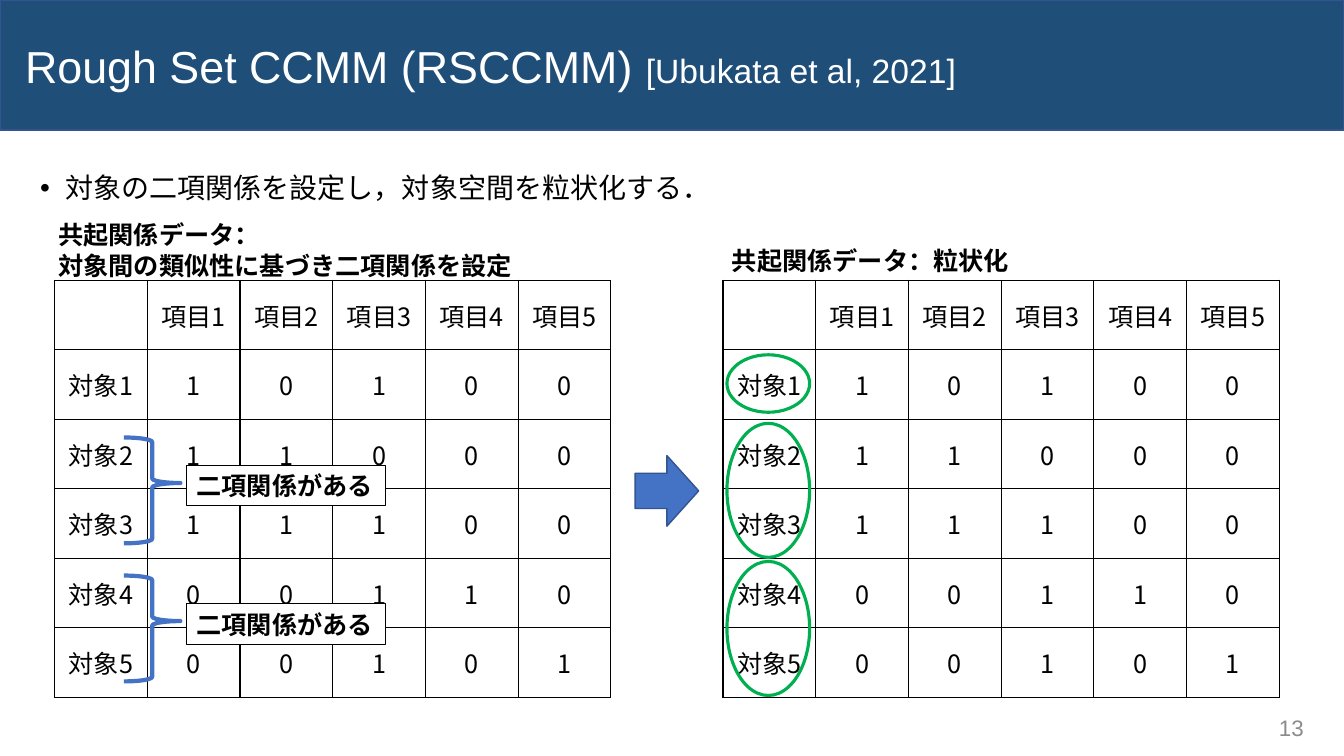
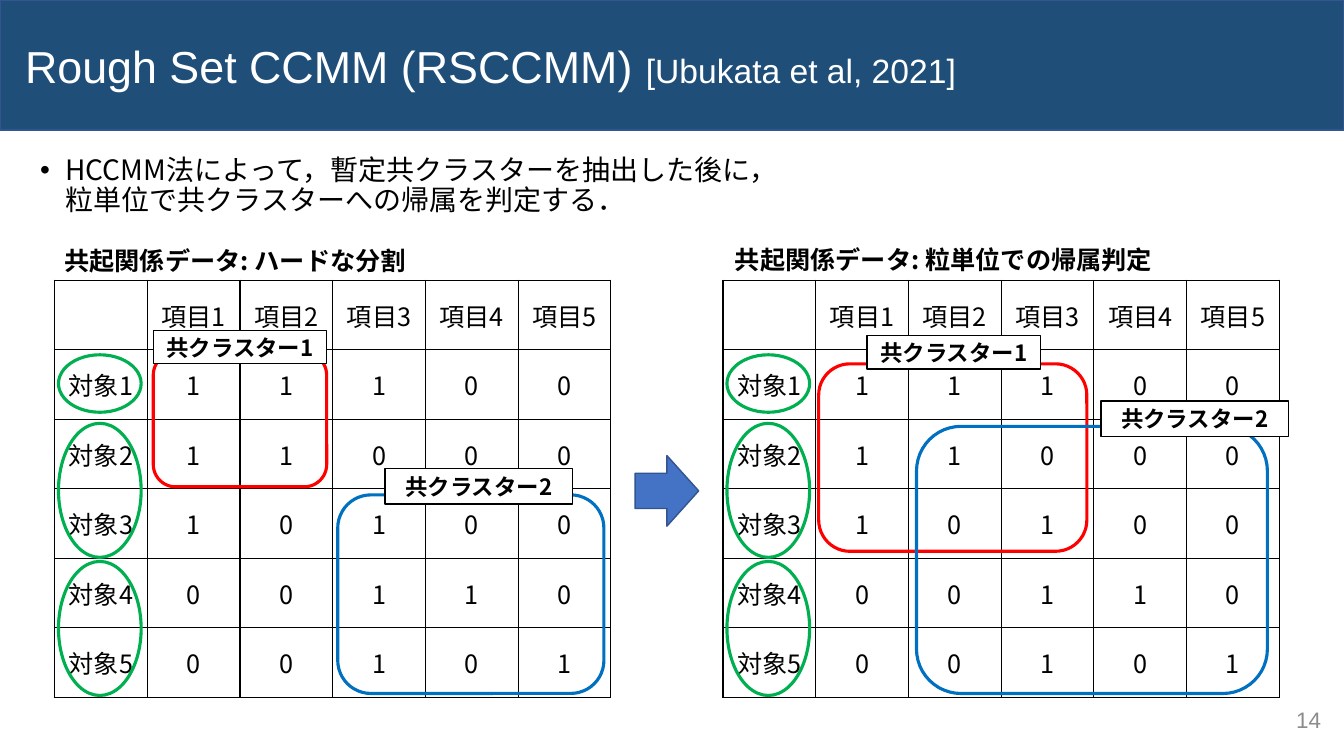
"""Build two slides on granulating co-occurrence data with Rough Set CCMM."""
import pptx
import pptx.dml.color
import pptx.enum.shapes
import pptx.enum.text
import pptx.oxml
import pptx.oxml.ns
import pptx.util

Inches = pptx.util.Inches
Pt = pptx.util.Pt
rgb = pptx.dml.color.RGBColor.from_string
Kind = pptx.enum.shapes.MSO_SHAPE
Align = pptx.enum.text.PP_ALIGN
Anchor = pptx.enum.text.MSO_ANCHOR
NS = pptx.oxml.ns.nsdecls("a")

NAVY, EDGE, BLUE = "1F4E79", "325491", "4472C4"
GREEN, RED, AZURE = "00B050", "FF0000", "0070C0"
BLACK, WHITE, GRAY = "000000", "FFFFFF", "8C8C8C"
LATIN, KANJI = "Arial", "Noto Sans CJK JP"

HEAD = {"size": Pt(18), "bold": True, "lead": Pt(22)}
LABEL = {"size": Pt(18), "bold": True, "anchor": Anchor.MIDDLE}
TAG = {"size": Pt(16), "bold": True, "anchor": Anchor.MIDDLE, "align": Align.CENTER}
PAGE = {"size": Pt(16), "name": LATIN, "hue": GRAY, "anchor": Anchor.MIDDLE, "align": Align.RIGHT}
TITLE = {"size": Pt(32), "name": LATIN, "hue": WHITE}


def write(para, text, hue=BLACK, name=KANJI, **look):
    for count, line in enumerate(text.split("\v")):
        if count:
            para.add_line_break()
        run = para.add_run()
        run.text = line
        run.font.color.rgb = rgb(hue)
        for key, value in {"name": name, **look}.items():
            setattr(run.font, key, value)
        run._r.get_or_add_rPr().append(
            pptx.oxml.parse_xml(f'<a:ea {NS} typeface="{name}"/>'))


def draw(slide, kind, at, text="", fill=None, line=None, width=1,
         anchor=Anchor.TOP, align=Align.LEFT, lead=None, **look):
    spot = [Inches(value) for value in at]
    if kind is None:
        shape = slide.shapes.add_textbox(*spot)
    else:
        shape = slide.shapes.add_shape(kind, *spot)
        shape.shadow.inherit = False
        if fill:
            shape.fill.solid()
            shape.fill.fore_color.rgb = rgb(fill)
        else:
            shape.fill.background()
        shape.line.color.rgb = rgb(line)
        shape.line.width = Pt(width)
    frame = shape.text_frame
    frame.word_wrap = True
    frame.vertical_anchor = anchor
    for count, part in enumerate(text.split("\n") if text else []):
        para = frame.add_paragraph() if count else frame.paragraphs[0]
        para.alignment = align
        para.line_spacing = lead
        write(para, part, **look)
    return shape


deck = pptx.Presentation()
deck.slide_width, deck.slide_height = Inches(13.33), Inches(7.5)

LEFTS = 0.54, 7.17
COL, ROW, TOP = 0.92, 0.69, 2.78
OVALS = (3.52, 0.57), (4.2, 1.33), (5.57, 1.33)

pages = [
    {"number": "13", "foot": (10.03, 7.02, 3, 0.4),
     "point": "対象の二項関係を設定し，対象空間を粒状化する．",
     "body": (0.3, 1.68, 12.74, 0.4),
     "grid": ["10100", "11000", "11100", "00110", "00101"],
     "heads": [("共起関係データ：\n対象間の類似性に基づき二項関係を設定", (0.48, 2.12, 6.13, 0.71)),
               ("共起関係データ：粒状化", (7.16, 2.38, 4.15, 0.4))],
     "grains": LEFTS[1:],
     "pairs": [4.34, 5.71],
     "groups": []},
    {"number": "14", "foot": (10.2, 6.94, 3, 0.4),
     "point": "HCCMM法によって，暫定共クラスターを抽出した後に，\v粒単位で共クラスターへの帰属を判定する．",
     "body": (0.3, 1.5, 13.03, 0.71),
     "grid": ["11100", "11000", "10100", "00110", "00101"],
     "heads": [("共起関係データ: ハードな分割", (0.54, 2.38, 5, 0.4)),
               ("共起関係データ: 粒単位での帰属判定", (7.19, 2.37, 5, 0.4))],
     "grains": LEFTS,
     "pairs": [],
     "groups": [
         [(RED, (1.52, 3.5, 1.72, 1.33), "共クラスター1", (1.52, 3.28, 1.72, 0.33)),
          (AZURE, (3.35, 4.91, 2.64, 1.97), "共クラスター2", (3.82, 4.65, 1.86, 0.35))],
         [(RED, (8.12, 3.61, 2.66, 1.86), "共クラスター1", (8.6, 3.33, 1.72, 0.33)),
          (AZURE, (9.09, 4.23, 3.48, 2.65), "共クラスター2", (10.92, 3.98, 1.86, 0.35))]]},
]

for page in pages:
    slide = deck.slides.add_slide(deck.slide_layouts[6])
    draw(slide, Kind.RECTANGLE, (0, 0, 13.33, 1.29), fill=NAVY, line=EDGE)
    title = draw(slide, None, (0.15, 0.08, 13.18, 1.21), "Rough Set CCMM (RSCCMM) ",
                 anchor=Anchor.MIDDLE, lead=0.9, **TITLE)
    write(title.text_frame.paragraphs[0], "[Ubukata et al, 2021]", **{**TITLE, "size": Pt(24)})
    draw(slide, None, page["foot"], page["number"], **PAGE)

    body = draw(slide, None, page["body"], page["point"], size=Pt(20), lead=Pt(21.5))
    props = body.text_frame.paragraphs[0]._p.get_or_add_pPr()
    props.set("marL", str(Inches(0.25)))
    props.set("indent", str(Inches(-0.25)))
    for mark in ('buFont {} typeface="Arial"', 'buChar {} char="•"'):
        props.append(pptx.oxml.parse_xml(f"<a:{mark.format(NS)}/>"))

    rows = [["", *(f"項目{n}" for n in range(1, 6))]]
    rows += [[f"対象{n}", *bits] for n, bits in enumerate(page["grid"], 1)]
    for left in LEFTS:
        table = slide.shapes.add_table(
            6, 6, Inches(left), Inches(TOP), Inches(6 * COL), Inches(6 * ROW)).table
        table.first_row = table.horz_banding = False
        for r, row in enumerate(rows):
            table.rows[r].height = Inches(ROW)
            table.columns[r].width = Inches(COL)
            for c, text in enumerate(row):
                cell = table.cell(r, c)
                cell.vertical_anchor = Anchor.MIDDLE
                cell.margin_left = cell.margin_right = Inches(0.05)
                for side in "LRTB":
                    cell._tc.get_or_add_tcPr().append(pptx.oxml.parse_xml(
                        f'<a:ln{side} {NS} w="{Pt(1)}"><a:solidFill>'
                        f'<a:srgbClr val="{BLACK}"/></a:solidFill></a:ln{side}>'))
                cell.fill.background()
                para = cell.text_frame.paragraphs[0]
                para.alignment = Align.CENTER
                if text:
                    write(para, text, size=Pt(18))

    for text, at in page["heads"]:
        draw(slide, None, at, text, **HEAD)
    draw(slide, Kind.RIGHT_ARROW, (6.3, 4.52, 0.63, 0.7), fill=BLUE, line=EDGE)

    for left in page["grains"]:
        for top, high in OVALS:
            draw(slide, Kind.OVAL, (left + 0.04, top, 0.82, high), line=GREEN, width=2.25)

    for top in page["pairs"]:
        brace = draw(slide, Kind.RIGHT_BRACE, (1.23, top, 0.56, 1.05), line=BLUE, width=3)
        brace.adjustments[0], brace.adjustments[1] = 0.08, 0.43
        draw(slide, Kind.RECTANGLE, (1.85, top + 0.28, 1.97, 0.4), "二項関係がある",
             fill=WHITE, line=BLACK, width=0.75, **LABEL)

    for group in page["groups"]:
        for hue, at, text, spot in group:
            draw(slide, Kind.ROUNDED_RECTANGLE, at, line=hue, width=2.25)
        for hue, at, text, spot in group:
            draw(slide, Kind.RECTANGLE, spot, text, fill=WHITE, line=BLACK, **TAG)

deck.save("out.pptx")
